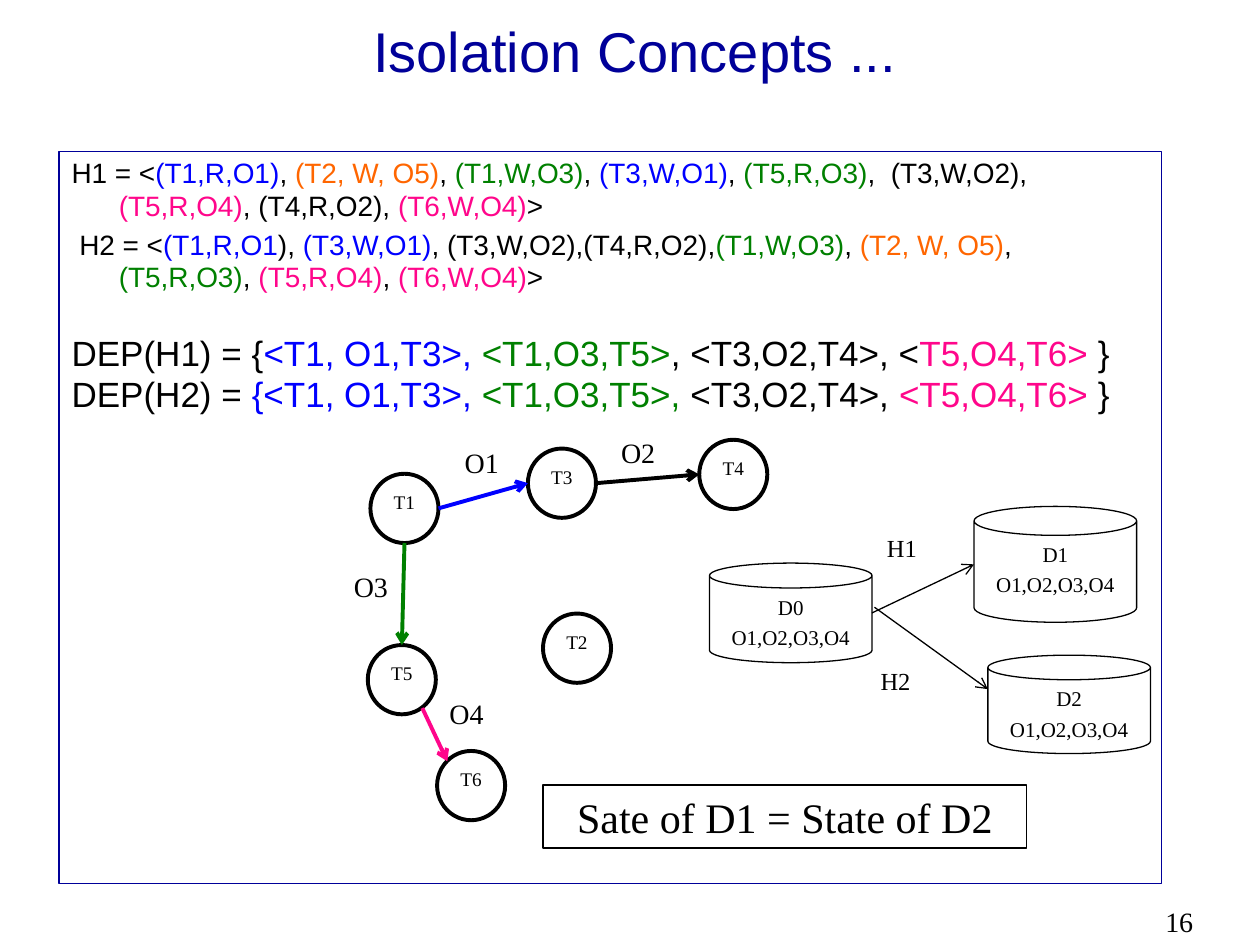
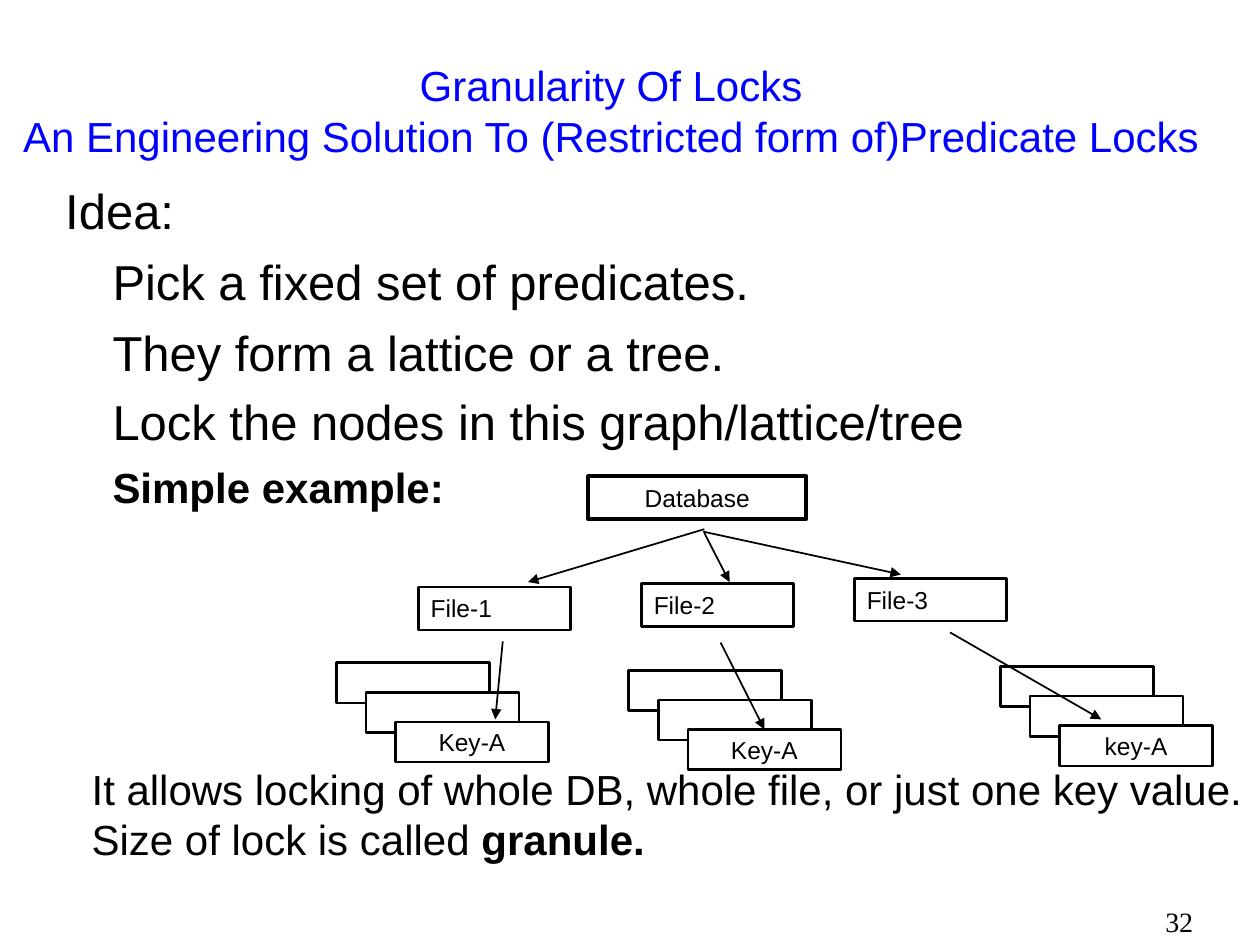
from collections import namedtuple

from lxml import etree
from pptx import Presentation
from pptx.dml.color import RGBColor
from pptx.enum.shapes import MSO_CONNECTOR, MSO_SHAPE
from pptx.enum.text import MSO_ANCHOR, MSO_AUTO_SIZE, PP_ALIGN
from pptx.oxml.ns import qn
from pptx.util import Pt

RECTANGLE, OVAL, CAN = MSO_SHAPE.RECTANGLE, MSO_SHAPE.OVAL, MSO_SHAPE.CAN
STRAIGHT = MSO_CONNECTOR.STRAIGHT
LEFT, CENTER = PP_ALIGN.LEFT, PP_ALIGN.CENTER
TOP, MIDDLE = MSO_ANCHOR.TOP, MSO_ANCHOR.MIDDLE

BLACK = RGBColor(0x00, 0x00, 0x00)
WHITE = RGBColor(0xFF, 0xFF, 0xFF)
NAVY = RGBColor(0x00, 0x00, 0x99)
BLUE = RGBColor(0x00, 0x00, 0xFF)
ORANGE = RGBColor(0xFF, 0x66, 0x00)
GREEN = RGBColor(0x00, 0x80, 0x00)
PINK = RGBColor(0xFF, 0x06, 0x8B)

SANS, SERIF = "Arial", "Times New Roman"
HANGING = 27
EXACT_LINE = 18.4

Box = namedtuple("Box", "left top width height")


# Shared helpers
def points(*lengths):
    return [Pt(length) for length in lengths]


def add_paragraph(frame, text, size, font=SANS, color=BLACK, align=LEFT,
                  before=0, bold=False):
    """Fill the empty first paragraph of the frame, or append a new one."""
    first = frame.paragraphs[0]
    para = frame.add_paragraph() if first.runs else first
    para.alignment = align
    para.space_before = Pt(before)
    style = para.font
    style.name, style.size, style.bold = font, Pt(size), bold
    if isinstance(text, str):
        para.text = text
        style.color.rgb = color
    else:
        for words, span_color in text:
            span = para.add_run()
            span.text = words
            span.font.color.rgb = span_color
    return para


def set_indent(para, left, first=0):
    properties = para._p.get_or_add_pPr()
    properties.set("marL", str(Pt(left)))
    properties.set("indent", str(Pt(first)))


def add_text_box(page, box):
    frame = page.shapes.add_textbox(*points(*box)).text_frame
    frame.word_wrap = True
    return frame


def add_outline(page, kind, box, weight, color=BLACK, fill=None, anchor=TOP):
    shape = page.shapes.add_shape(kind, *points(*box))
    shape.shadow.inherit = False
    if fill is None:
        shape.fill.background()
    else:
        shape.fill.solid()
        shape.fill.fore_color.rgb = fill
    shape.line.color.rgb = color
    shape.line.width = Pt(weight)
    shape.text_frame.vertical_anchor = anchor
    return shape


def add_arrow(page, start, end, weight, color=BLACK, head="arrow"):
    arrow = page.shapes.add_connector(STRAIGHT, *points(*start, *end))
    arrow.line.color.rgb = color
    arrow.line.width = Pt(weight)
    etree.SubElement(arrow.line._get_or_add_ln(), qn("a:tailEnd"), type=head)
    etree.SubElement(arrow._element.spPr, qn("a:effectLst"))
    return arrow


def add_page(deck, title, box, size, color, number):
    """Title-only page with its title and page number."""
    page = deck.slides.add_slide(deck.slide_layouts[5])
    holder = page.shapes.title
    holder.left, holder.top, holder.width, holder.height = points(*box)
    holder.text_frame.auto_size = MSO_AUTO_SIZE.NONE
    holder.text_frame.vertical_anchor = MIDDLE
    add_paragraph(holder.text_frame, title, size, color=color, align=CENTER)
    number_frame = add_text_box(page, Box(658.8, 513.4, 61.2, 26.6))
    add_paragraph(number_frame, str(number), 16, SERIF)
    return page


# Isolation: histories and their dependency sets
def add_histories(page, box):
    histories = [
        [("H1 = <", BLACK), ("(T1,R,O1)", BLUE), (", ", BLACK),
         ("(T2, W, O5)", ORANGE), (", ", BLACK), ("(T1,W,O3)", GREEN),
         (", ", BLACK), ("(T3,W,O1)", BLUE), (", ", BLACK),
         ("(T5,R,O3)", GREEN), (",  (T3,W,O2), ", BLACK),
         ("(T5,R,O4)", PINK), (", (T4,R,O2), ", BLACK),
         ("(T6,W,O4)", PINK), (">", BLACK)],
        [(" H2 = <", BLACK), ("(T1,R,O1", BLUE), ("), ", BLACK),
         ("(T3,W,O1)", BLUE), (", (T3,W,O2),(T4,R,O2),", BLACK),
         ("(T1,W,O3)", GREEN), (", ", BLACK), ("(T2, W, O5)", ORANGE),
         (", ", BLACK), ("(T5,R,O3)", GREEN), (", ", BLACK),
         ("(T5,R,O4)", PINK), (", ", BLACK), ("(T6,W,O4)", PINK),
         (">", BLACK)],
    ]
    dependencies = [
        [("DEP(H1) = {", BLACK), ("<T1, O1,T3>, ", BLUE),
         ("<T1,O3,T5>", GREEN), (", <T3,O2,T4>, <", BLACK),
         ("T5,O4,T6>", PINK), (" }", BLACK)],
        [("DEP(H2) = ", BLACK), ("{<T1, O1,T3>, ", BLUE),
         ("<T1,O3,T5>, ", GREEN), ("<T3,O2,T4>, ", BLACK),
         ("<T5,O4,T6> ", PINK), ("}", BLACK)],
    ]
    frame = add_outline(page, RECTANGLE, box, 0.75, NAVY).text_frame
    sizes, gaps = (16, 16, 20, 20), (0, 4, 27.4, 5)
    for spans, size, gap in zip(histories + dependencies, sizes, gaps):
        para = add_paragraph(frame, spans, size, before=gap)
        para.line_spacing = Pt(EXACT_LINE)
        set_indent(para, HANGING, -HANGING)


# Isolation: dependency graph
def add_dependency_graph(page, left, top):
    width, height = 38.9, 39.6
    nodes = {"T1": (16.7, 25.7), "T3": (106.7, 11.3), "T4": (204.6, 6.3),
             "T5": (15.2, 123.6), "T6": (54.8, 184.1), "T2": (115.3, 105.6)}
    for name, (x, y) in nodes.items():
        circle = add_outline(page, OVAL,
                             Box(left + x, top + y, width, height), 2.25)
        add_paragraph(circle.text_frame, name, 11, SERIF, align=CENTER)

    def rim(name, across, down):
        x, y = nodes[name]
        return (left + x + width / 2 * (1 + across),
                top + y + height / 2 * (1 + down))

    edges = [
        (rim("T1", 1, 0), rim("T3", -1, 0), BLUE),
        (rim("T3", 1, 0), rim("T4", -1, 0), BLACK),
        (rim("T1", 0, 1), rim("T5", 0, -1), GREEN),
        (rim("T5", 0.6, 0.82), rim("T6", -0.7, -0.7), PINK),
    ]
    for start, end, color in edges:
        add_arrow(page, start, end, 2.25, color)

    labels = [("O1", 63.5, 6.3), ("O2", 152.8, 0.5),
              ("O3", 0.1, 76.8), ("O4", 54.8, 149.6)]
    for label, x, y in labels:
        frame = add_text_box(page, Box(left + x, top + y, 36, 26.6))
        add_paragraph(frame, label, 16, SERIF)


# Isolation: database states reached by each history
def add_database_states(page, left, top):
    width = 92.9
    states = {"D0": (0.4, 32.8, 56.9), "D1": (151.6, 0.4, 66.2),
              "D2": (159.5, 85.4, 56.2)}
    for name, (x, y, height) in states.items():
        can = add_outline(page, CAN,
                          Box(left + x, top + y, width, height), 0.75)
        add_paragraph(can.text_frame, name, 12, SERIF, align=CENTER)
        add_paragraph(can.text_frame, "O1,O2,O3,O4", 12, SERIF,
                      align=CENTER, before=3)

    def side(name, across):
        x, y, height = states[name]
        return left + x + across * width, top + y + height / 2

    add_arrow(page, side("D0", 1), side("D1", 0), 0.75)
    add_arrow(page, (left + 94.7, top + 58), (left + 159.5, top + 104.8), 0.75)
    for label, x, y in [("H1", 94.7, 12), ("H2", 91.1, 88.3)]:
        frame = add_text_box(page, Box(left + x, top + y, 45, 24.5))
        add_paragraph(frame, label, 14, SERIF)


def add_conclusion(page, box):
    frame = add_outline(page, RECTANGLE, box, 0.75).text_frame
    add_paragraph(frame, "Sate of D1 = State of D2", 24, SERIF, align=CENTER)


def build_isolation(deck):
    page = add_page(deck, "Isolation Concepts ...",
                    Box(56.9, 13.7, 612, 49.7), 32, NAVY, 16)
    page.shapes.title.text_frame.paragraphs[0].line_spacing = Pt(EXACT_LINE)
    add_histories(page, Box(33.8, 86.4, 630, 418.3))
    add_dependency_graph(page, 195, 245)
    add_database_states(page, 405, 289)
    add_conclusion(page, Box(310.3, 448.6, 276.5, 36))


# Granularity: idea and closing remark
def add_idea(page, box):
    frame = add_text_box(page, box)
    add_paragraph(frame, "Idea:", 28)
    steps = ["Pick a fixed set of predicates.",
             "They form a lattice or a tree.",
             "Lock the nodes in this graph/lattice/tree"]
    for step, gap in zip(steps, (7, 7, 6)):
        set_indent(add_paragraph(frame, step, 28, before=gap), HANGING)
    example = add_paragraph(frame, "Simple example:", 24, before=6, bold=True)
    set_indent(example, HANGING)


def add_remark(page, box):
    frame = add_text_box(page, box)
    add_paragraph(frame, "It allows locking of whole DB, whole file, "
                         "or just one key value.", 24)
    para = add_paragraph(frame, [("Size of lock is called ", BLACK),
                                 ("granule.", BLACK)], 24)
    para.runs[1].font.bold = True


# Granularity: database, files and keys
def add_key_stack(page, left, top, label):
    step = 16.9
    for level in range(3):
        card = add_outline(page, RECTANGLE,
                           Box(left + level * step, top + level * step,
                               87.4, 23), 1.5, fill=WHITE, anchor=MIDDLE)
    card.text_frame.word_wrap = False
    add_paragraph(card.text_frame, label, 14, align=CENTER)
    return card


def add_lock_tree(page, left, top):
    boxes = [("Database", 144.2, 0.2, 124.6, 2.25, CENTER),
             ("File-1", 47, 63.5, 87.1, 1.5, LEFT),
             ("File-3", 296.2, 58.5, 87.1, 1.5, LEFT),
             ("File-2", 174.5, 61.4, 87.1, 1.5, LEFT)]
    for name, x, y, width, weight, align in boxes:
        shape = add_outline(page, RECTANGLE,
                            Box(left + x, top + y, width, 24.5), weight,
                            fill=WHITE)
        add_paragraph(shape.text_frame, name, 14, align=align)

    stacks = [("Key-A", 0.2, 106.7), ("Key-A", 167.3, 111),
              ("key-A", 379.7, 108.9)]
    cards = [add_key_stack(page, left + x, top + y, label)
             for label, x, y in stacks]

    arrows = [(210.5, 30.4, 109.7, 60.6), (210.5, 32.6, 224.9, 60.6),
              (209.8, 31.8, 322.8, 56.3), (95.3, 94.5, 91, 139.1),
              (350.9, 89.4, 437.3, 139.1), (219.8, 95.2, 244.8, 144.8)]
    for x1, y1, x2, y2 in arrows:
        arrow = add_arrow(page, (left + x1, top + y1), (left + x2, top + y2),
                          1, head="triangle")
    # The last arrow meets the middle key card
    arrow.end_connect(cards[1], 0)


def build_granularity(deck):
    title = ("Granularity Of Locks\vAn Engineering Solution To "
             "(Restricted form of)Predicate Locks")
    page = add_page(deck, title, Box(0, 18, 698.4, 90), 24, BLUE, 32)
    add_remark(page, Box(45.3, 432.7, 674.7, 64.8))
    add_idea(page, Box(30.2, 99.4, 689.8, 401.8))
    add_lock_tree(page, 192, 272)


def main():
    deck = Presentation()
    deck.slide_width, deck.slide_height = points(720, 540)
    build_isolation(deck)
    build_granularity(deck)
    deck.save("out.pptx")


if __name__ == "__main__":
    main()
